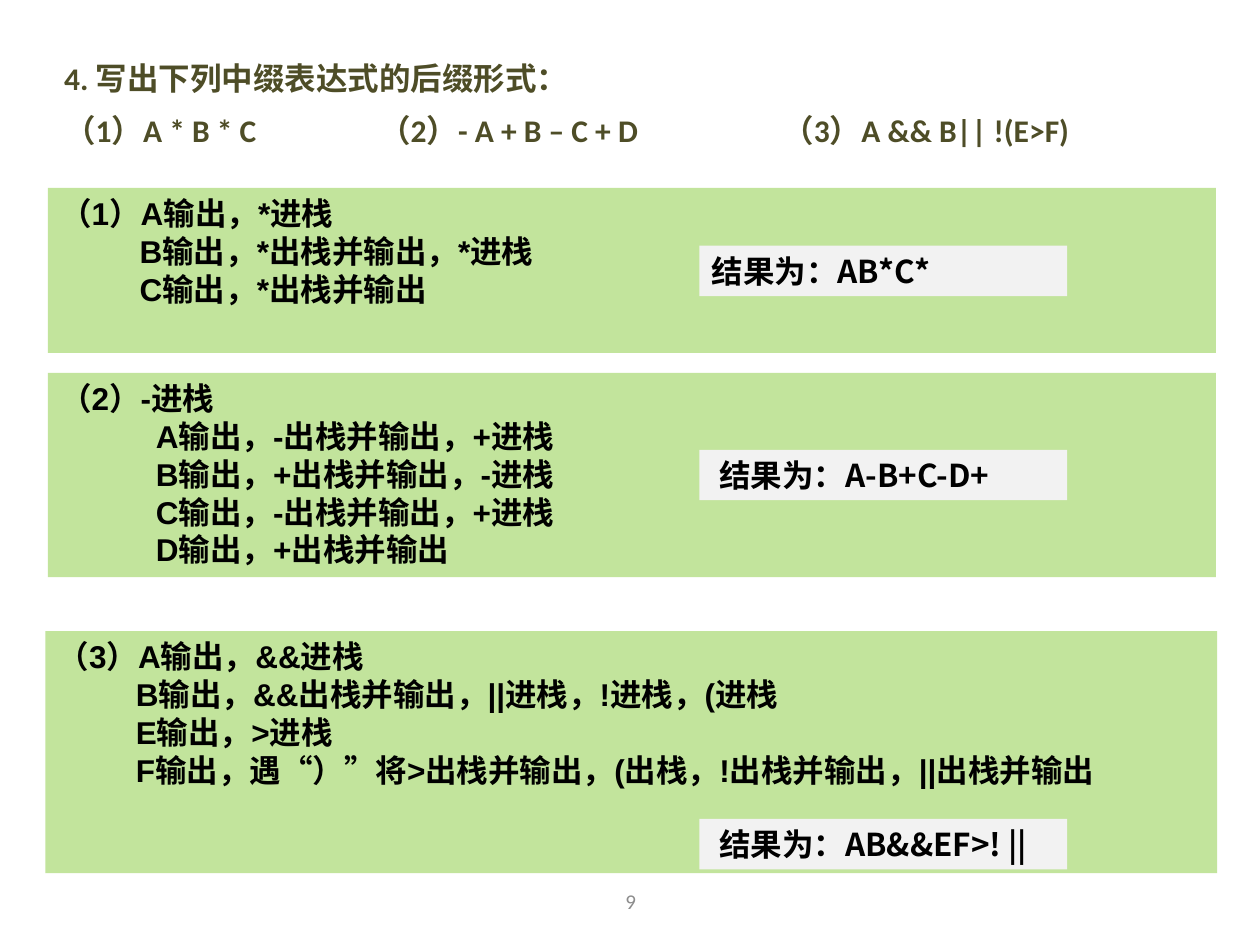
from lxml import etree
from pptx import Presentation
from pptx.dml.color import RGBColor
from pptx.enum.shapes import MSO_SHAPE
from pptx.enum.text import MSO_ANCHOR, MSO_AUTO_SIZE, PP_ALIGN
from pptx.oxml.ns import qn
from pptx.util import Inches, Pt

RECT = MSO_SHAPE.RECTANGLE
TOP, MIDDLE = MSO_ANCHOR.TOP, MSO_ANCHOR.MIDDLE
LEFT, CENTER = PP_ALIGN.LEFT, PP_ALIGN.CENTER
NO_FIT = MSO_AUTO_SIZE.NONE

QUESTION = [
    "4. 写出下列中缀表达式的后缀形式：",
    "（1）A * B * C\t（2）- A + B – C + D\t（3）A && B|| !(E>F)",
]
TAB_STOPS = (2.5, 5.7)
PAGE_NUMBER = "9"

ANSWERS = [
    {
        "box": (0.38, 1.49, 9.27, 1.31),
        "indent": 0.63,
        "steps": ["（1）A输出，*进栈", "B输出，*出栈并输出，*进栈", "C输出，*出栈并输出"],
        "result": "结果为：AB*C*",
        "result_top": 1.95,
        "result_indent": 0,
    },
    {
        "box": (0.38, 2.96, 9.27, 1.62),
        "indent": 0.76,
        "steps": ["（2）-进栈", "A输出，-出栈并输出，+进栈", "B输出，+出栈并输出，-进栈",
                  "C输出，-出栈并输出，+进栈", "D输出，+出栈并输出"],
        "result": "结果为：A-B+C-D+",
        "result_top": 3.57,
        "result_indent": 0.06,
    },
    {
        "box": (0.36, 5.01, 9.3, 1.92),
        "indent": 0.62,
        "steps": ["（3）A输出，&&进栈", "B输出，&&出栈并输出，||进栈，!进栈，(进栈",
                  "E输出，>进栈", "F输出，遇“）”将>出栈并输出，(出栈，!出栈并输出，||出栈并输出"],
        "result": "结果为：AB&&EF>! ||",
        "result_top": 6.5,
        "result_indent": 0.06,
    },
]
RESULT_LEFT, RESULT_WIDTH, RESULT_HEIGHT = 5.55, 2.92, 0.4


def rgb(color):
    return RGBColor.from_string(color)


def write(sp, lines, font, color, size=18, bold=True, align=LEFT, anchor=TOP, indents=None):
    tf = sp.text_frame
    tf.word_wrap = True
    tf.auto_size = NO_FIT
    tf.vertical_anchor = anchor
    for i, line in enumerate(lines):
        p = tf.paragraphs[0] if i == 0 else tf.add_paragraph()
        p.text = line
        p.alignment = align
        if indents:
            p._p.get_or_add_pPr().set("marL", str(Inches(indents[i])))
        p.font.name = font
        p.font.size = Pt(size)
        p.font.bold = bold
        p.font.color.rgb = rgb(color)
    return tf


def add_panel(s, box, fill, lines, font, indents):
    sp = s.shapes.add_shape(RECT, *map(Inches, box))
    sp.shadow.inherit = False
    sp.fill.solid()
    sp.fill.fore_color.rgb = rgb(fill)
    sp.line.fill.background()
    write(sp, lines, font, "000000", indents=indents)


def add_tabs(p, stops):
    pPr = p._p.get_or_add_pPr()
    tabs = etree.Element(qn("a:tabLst"))
    for stop in stops:
        etree.SubElement(tabs, qn("a:tab"), pos=str(Inches(stop)), algn="l")
    pPr.find(qn("a:defRPr")).addprevious(tabs)


def main():
    prs = Presentation()
    prs.slide_width, prs.slide_height = Inches(10), Inches(7.5)
    s = prs.slides.add_slide(prs.slide_layouts[5])

    title = s.shapes.title
    title.left, title.top, title.width, title.height = map(Inches, (0.41, 0.36, 9.24, 0.98))
    tf = write(title, QUESTION, "Calibri", "4E4D27")
    for p in tf.paragraphs:
        p.line_spacing = 1.2
    tf.paragraphs[1].space_before = Pt(3.6)
    add_tabs(tf.paragraphs[1], TAB_STOPS)

    for answer in ANSWERS:
        steps = answer["steps"]
        indents = [0] + [answer["indent"]] * (len(steps) - 1)
        add_panel(s, answer["box"], "C2E49C", steps, "Arial", indents)
        result_box = (RESULT_LEFT, answer["result_top"], RESULT_WIDTH, RESULT_HEIGHT)
        add_panel(s, result_box, "F2F2F2", [answer["result"]], "Noto Sans CJK SC",
                  [answer["result_indent"]])

    number = s.shapes.add_textbox(*map(Inches, (3.42, 6.95, 3.17, 0.4)))
    write(number, [PAGE_NUMBER], "Calibri", "8C8C8C", size=12, bold=False,
          align=CENTER, anchor=MIDDLE)

    prs.save("out.pptx")


if __name__ == "__main__":
    main()
